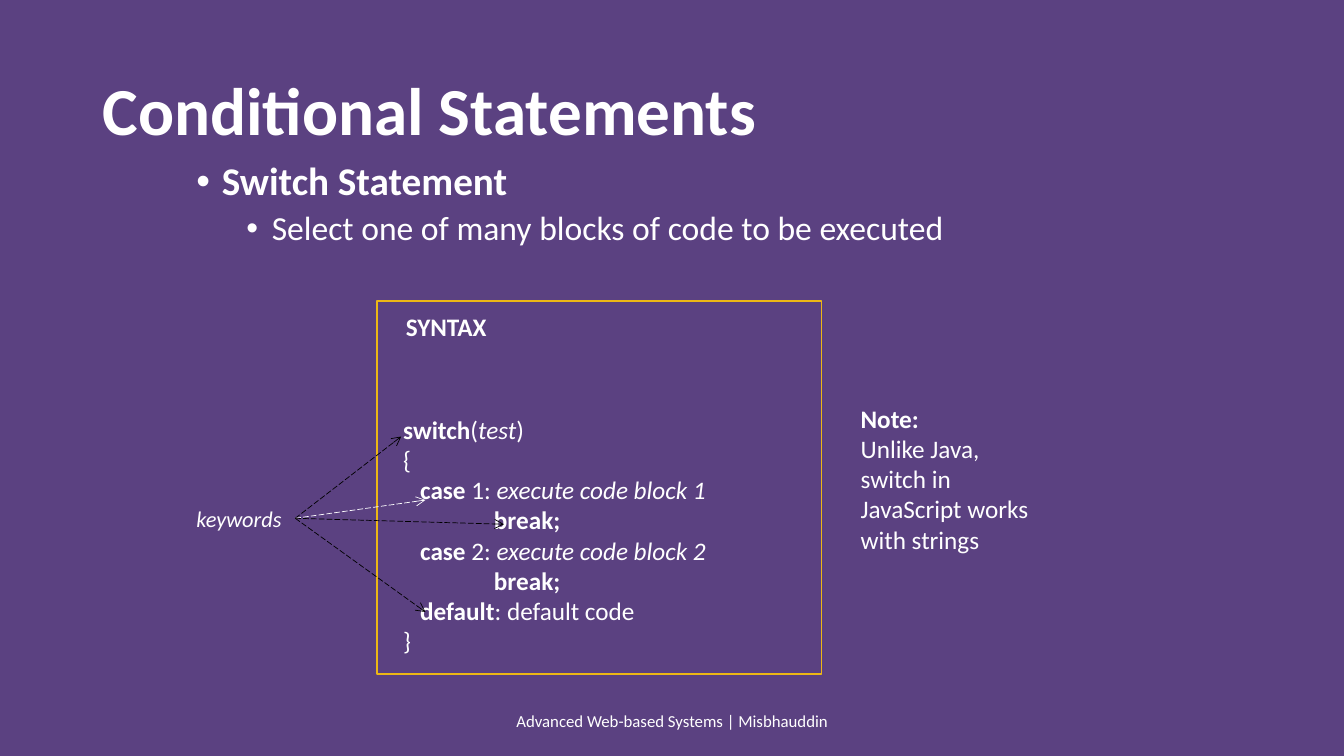
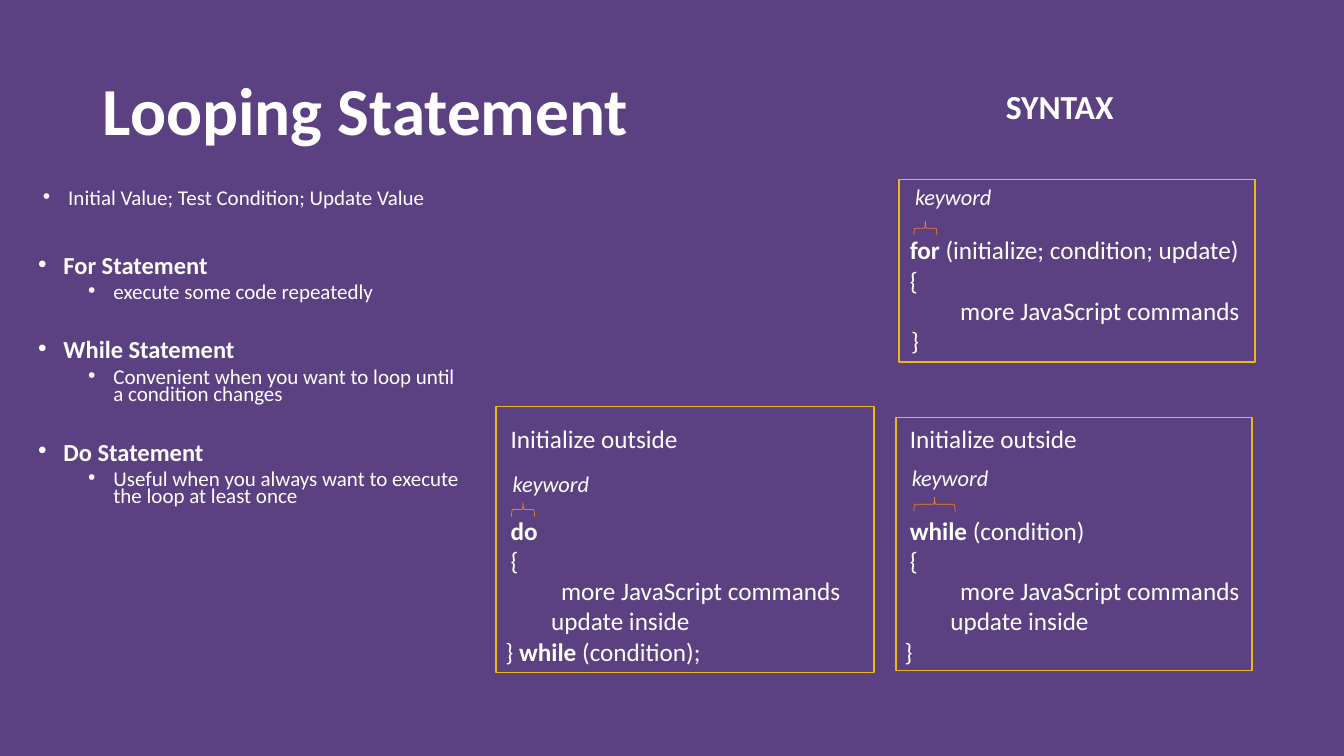
"""Build two slides on conditional and looping statements."""
import pptx
import pptx.dml.color
import pptx.enum.dml
import pptx.enum.shapes
import pptx.enum.text
import pptx.oxml
import pptx.oxml.ns
import pptx.util
from lxml import etree

Cm, Pt, qn = pptx.util.Cm, pptx.util.Pt, pptx.oxml.ns.qn
SHAPE = pptx.enum.shapes.MSO_SHAPE
ALIGN = pptx.enum.text.PP_ALIGN
ANCHOR = pptx.enum.text.MSO_ANCHOR
COLORS = {
    name: pptx.dml.color.RGBColor.from_string(value)
    for name, value in {
        "purple": "5B4181", "white": "FFFFFF", "black": "000000",
        "gold": "EDB716", "orange": "ED7D31",
    }.items()
}
FONT = "Calibri"


def add_text(s, box, paras, size=18, anchor=ANCHOR.TOP, align=ALIGN.LEFT, spacing=None):
    """Each paragraph is (runs, options); each run is (text, style letters)."""
    tf = s.shapes.add_textbox(*map(Cm, box)).text_frame
    tf.word_wrap = True
    tf.vertical_anchor = anchor
    for i, (runs, opts) in enumerate(paras):
        p = tf.paragraphs[0] if i == 0 else tf.add_paragraph()
        pPr = p._p.get_or_add_pPr()
        pPr.set("marL", str(Cm(opts.get("indent", 0))))
        if opts.get("bullet"):
            pPr.set("indent", str(-Cm(0.64)))
            etree.SubElement(pPr, qn("a:buFont")).set("typeface", "Arial")
            etree.SubElement(pPr, qn("a:buChar")).set("char", "•")
        p.alignment = align
        p.line_spacing = spacing
        p.space_before = Pt(opts.get("before", 0))
        for text, style in runs:
            r = p.add_run()
            r.text = text
            r.font.name = FONT
            r.font.size = Pt(opts.get("size", size))
            r.font.color.rgb = COLORS["white"]
            r.font.bold = "b" in style
            r.font.italic = "i" in style


def add_outline(s, kind, box, color, width, rotation=0):
    """Add an unfilled shape."""
    sp = s.shapes.add_shape(kind, *map(Cm, box))
    sp.shadow.inherit = False
    sp.fill.background()
    sp.line.color.rgb = COLORS[color]
    sp.line.width = Pt(width)
    sp.rotation = rotation


prs = pptx.Presentation()
prs.slide_width, prs.slide_height = Cm(33.87), Cm(19.05)
fill = prs.slide_master.background.fill
fill.solid()
fill.fore_color.rgb = COLORS["purple"]

slides = []
for title in ("Conditional Statements", "Looping Statement"):
    s = prs.slides.add_slide(prs.slide_layouts[6])
    add_text(s, (2.34, 1.02, 29.21, 3.68), [([(title, "b")], {})],
             size=48, anchor=ANCHOR.MIDDLE, spacing=0.9)
    slides.append(s)
switch_slide, loop_slide = slides

s = switch_slide
add_text(s, (4.7, 3.96, 21.21, 3), [
    ([("Switch Statement", "b")], {"indent": 0.64, "bullet": True, "size": 28}),
    ([("Select one of many blocks of code to be executed", "")],
     {"indent": 1.9, "bullet": True, "before": 5}),
], size=24, spacing=0.9)
add_text(s, (11.23, 17.65, 11.43, 1.02),
         [([("Advanced Web-based Systems | Misbhauddin", "")], {})],
         size=12, anchor=ANCHOR.MIDDLE, align=ALIGN.CENTER)

code = [([("switch", "b"), ("(", ""), ("test", "i"), (")", "")], {}),
        ([("{", "")], {})]
for number in (1, 2):
    code += [
        ([("case ", "b"), (f"{number}: ", ""), (f"execute code block {number}", "i")],
         {"indent": 0.43}),
        ([("break;", "b")], {"indent": 2.29}),
    ]
code += [([("default", "b"), (": default code", "")], {"indent": 0.43}),
         ([("}", "")], {})]
add_text(s, (9.91, 10.31, 8.48, 6.4), code)
add_text(s, (9.98, 7.72, 2.57, 1.02), [([("SYNTAX", "b")], {})])
add_text(s, (4.7, 12.6, 2.72, 0.94), [([("keywords", "i")], {})], size=16)
add_outline(s, SHAPE.RECTANGLE, (9.5, 7.59, 11.2, 9.4), "gold", 1)

for x, y, color in ((10.11, 11, "black"), (10.72, 12.6, "white"),
                    (10.72, 15.42, "black"), (12.7, 13.21, "black")):
    arrow = s.shapes.add_connector(pptx.enum.shapes.MSO_CONNECTOR.STRAIGHT,
                                   Cm(7.44), Cm(13.06), Cm(x), Cm(y))
    arrow.line.color.rgb = COLORS[color]
    arrow.line.width = Pt(0.5)
    arrow.line.dash_style = pptx.enum.dml.MSO_LINE.LONG_DASH
    spPr = arrow._element.spPr
    etree.SubElement(spPr.find(qn("a:ln")), qn("a:tailEnd")).set("type", "arrow")
    etree.SubElement(spPr, qn("a:effectLst"))

add_text(s, (21.44, 10.03, 4.88, 4.11), [
    ([("Note:", "b")], {}),
    ([("Unlike Java, switch in JavaScript works with strings", "")], {}),
])

s = loop_slide
points = [([("Initial Value; Test Condition; Update Value", "")],
           {"indent": 0.76, "bullet": True})]
for name, use, before in (
    ("For Statement", "execute some code repeatedly", 35),
    ("While Statement", "Convenient when you want to loop until a condition changes", 28),
    ("Do Statement", "Useful when you always want to execute the loop at least once", 28),
):
    points += [
        ([(name, "b")], {"indent": 0.64, "bullet": True, "size": 17.5, "before": before}),
        ([(use, "")], {"indent": 1.9, "bullet": True, "before": 5}),
    ]
add_text(s, (0.71, 4.7, 11.18, 9.17), points, size=15, spacing=0.7)
add_text(s, (25.1, 2.03, 3.25, 1.27), [([("SYNTAX", "b")], {})], size=24)

opening = ([("{", "")], {"indent": 1.27})
commands = ([("more JavaScript commands", "")], {"indent": 2.54})
start = ([("Initialize outside", "")], {"indent": 1.27})
update = ([("update inside", "")], {"indent": 2.29})
head = {"indent": 1.27, "before": 44}
for_code = [
    ([("for", "b"), (" (initialize; condition; update)", "")], {"indent": 1.27}),
    opening, commands, ([("}", "")], {"indent": 1.3}),
]
while_code = [
    start, ([("while", "b"), (" (condition)", "")], head),
    opening, commands, update, ([("}", "")], {"indent": 1.14}),
]
do_code = [
    start, ([("do", "b")], head), opening, commands, update,
    ([("} ", ""), ("while", "b"), (" (condition);", "")], {"indent": 1.14}),
]
for frame, code_box, code, keyword_at, brace in (
    ((22.66, 4.52, 8.97, 4.6), (21.41, 5.79, 10.21, 3.33), for_code,
     (22.81, 4.5), (23.14, 5.46, 0.36, 0.58)),
    ((22.58, 10.52, 8.97, 6.38), (21.41, 10.54, 10.21, 6.4), while_code,
     (22.73, 11.58), (23.37, 12.19, 0.36, 1.04)),
    ((12.5, 10.24, 9.53, 6.71), (11.35, 10.54, 10.21, 6.4), do_code,
     (12.67, 11.71), (13, 12.55, 0.36, 0.58)),
):
    add_outline(s, SHAPE.RECTANGLE, frame, "gold", 1)
    add_text(s, code_box, code)
    add_text(s, (*keyword_at, 2.51, 0.94), [([("keyword", "i")], {})], size=16)
    add_outline(s, SHAPE.LEFT_BRACE, brace, "orange", 0.5, rotation=90)

prs.save("out.pptx")
